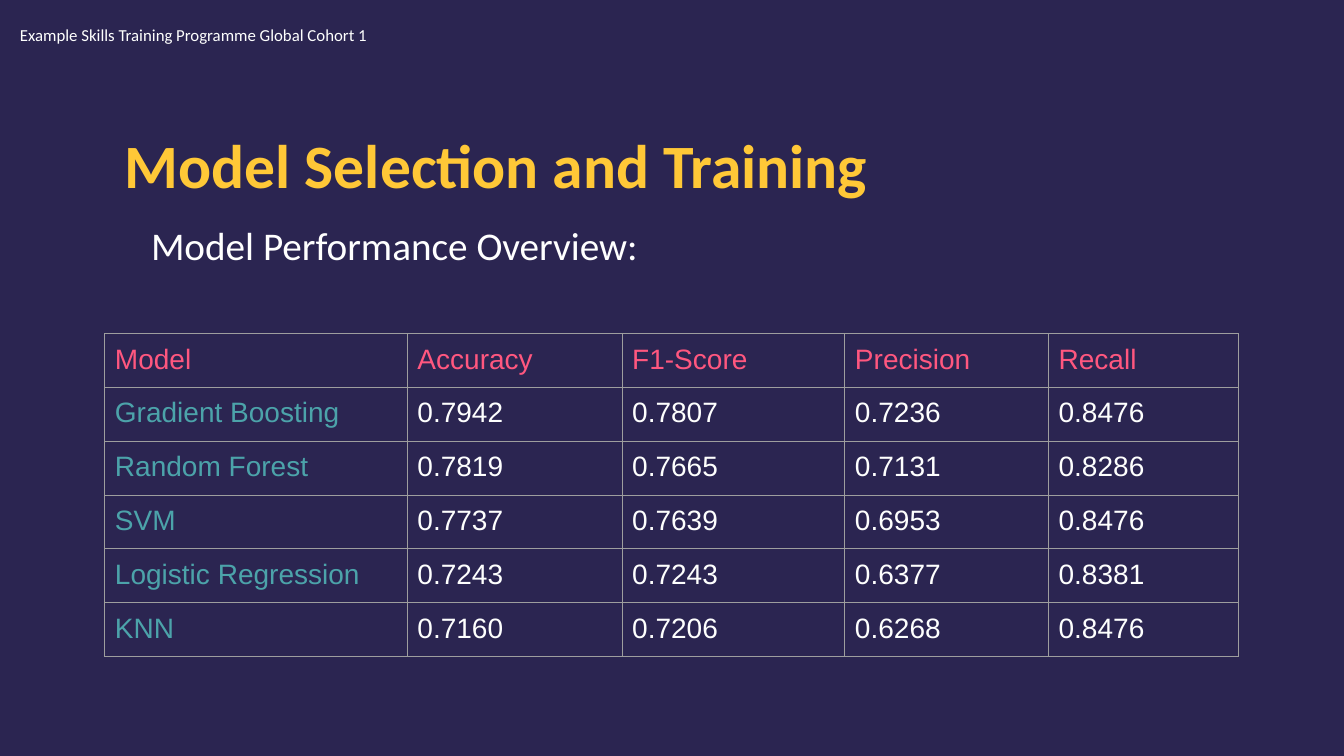
from lxml.etree import SubElement
from pptx import Presentation
from pptx.dml.color import RGBColor
from pptx.enum.text import MSO_ANCHOR, MSO_AUTO_SIZE
from pptx.oxml.ns import qn
from pptx.util import Inches, Pt

NAVY = RGBColor(0x2B, 0x25, 0x51)
GOLD = RGBColor(0xFF, 0xC8, 0x37)
WHITE = RGBColor(0xFF, 0xFF, 0xFF)
PALE = RGBColor(0xFE, 0xFF, 0xFE)
PINK = RGBColor(0xFF, 0x57, 0x7F)
TEAL = RGBColor(0x4C, 0xA3, 0xAA)
GREY = RGBColor(0x9E, 0x9E, 0x9E)


def style(para, text, name, size, color):
    para.text = text
    para.font.name = name
    para.font.size = Pt(size)
    para.font.color.rgb = color


def add_text(box, text, size, color):
    frame = slide.shapes.add_textbox(*map(Inches, box)).text_frame
    frame.word_wrap = True
    para = frame.paragraphs[0]
    style(para, text, "Calibri", size, color)
    return frame, para


deck = Presentation()
deck.slide_width = Inches(13.33)
deck.slide_height = Inches(7.5)
slide = deck.slides.add_slide(deck.slide_layouts[6])
slide.background.fill.solid()
slide.background.fill.fore_color.rgb = NAVY

frame, para = add_text((1.14, 1.17, 11.06, 1.01), "Model Selection and Training", 44, GOLD)
frame.vertical_anchor = MSO_ANCHOR.MIDDLE
para.font.bold = True
para.line_spacing = 0.9

frame, para = add_text((1.15, 2.2, 11.04, 4.56), "Model Performance Overview:", 28, WHITE)
para.line_spacing = 0.9
para.space_before = Pt(10)
para._p.get_or_add_pPr().set("marL", str(Inches(0.25)))

frame, para = add_text((0.1, 0.2, 5.54, 0.3), "Example Skills Training Programme Global Cohort 1", 12, PALE)
frame.auto_size = MSO_AUTO_SIZE.SHAPE_TO_FIT_TEXT

scores = [
    ("Model", "Accuracy", "F1-Score", "Precision", "Recall"),
    ("Gradient Boosting", "0.7942", "0.7807", "0.7236", "0.8476"),
    ("Random Forest", "0.7819", "0.7665", "0.7131", "0.8286"),
    ("SVM", "0.7737", "0.7639", "0.6953", "0.8476"),
    ("Logistic Regression", "0.7243", "0.7243", "0.6377", "0.8381"),
    ("KNN", "0.7160", "0.7206", "0.6268", "0.8476"),
]
widths = [3, 2.13, 2.21, 2.02, 1.88]
high = 0.53
table = slide.shapes.add_table(
    len(scores), len(widths), Inches(1.04), Inches(3.31),
    Inches(sum(widths)), Inches(high * len(scores))).table
table.first_row = False
table.horz_banding = False
for col, width in zip(table.columns, widths):
    col.width = Inches(width)

for r, row in enumerate(scores):
    table.rows[r].height = Inches(high)
    for c, text in enumerate(row):
        cell = table.cell(r, c)
        cell.margin_left = cell.margin_right = Inches(0.1)
        cell.margin_top = cell.margin_bottom = Inches(0.1)
        color = PINK if r == 0 else TEAL if c == 0 else PALE
        style(cell.text_frame.paragraphs[0], text, "Arial", 20, color)
        props = cell._tc.get_or_add_tcPr()
        for side in ("a:lnL", "a:lnR", "a:lnT", "a:lnB"):
            line = SubElement(props, qn(side), w=str(Pt(0.75)))
            fill = SubElement(line, qn("a:solidFill"))
            SubElement(fill, qn("a:srgbClr"), val=str(GREY))
        cell.fill.background()

deck.save("out.pptx")
